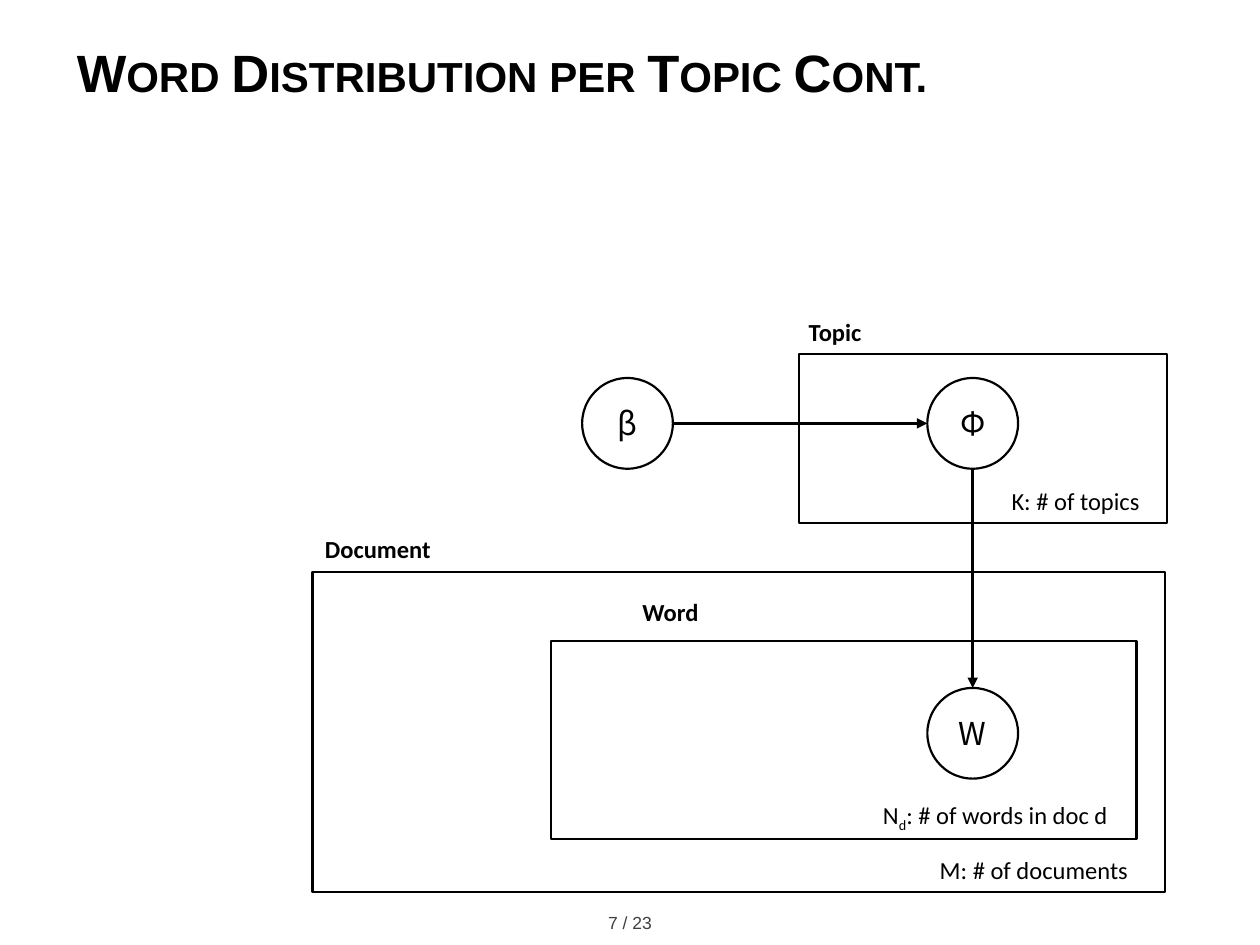
from lxml import etree
from pptx import Presentation
from pptx.dml.color import RGBColor
from pptx.enum.shapes import MSO_CONNECTOR, MSO_SHAPE
from pptx.enum.text import MSO_ANCHOR, PP_ALIGN
from pptx.oxml.ns import qn
from pptx.util import Inches, Pt

RECT, OVAL = MSO_SHAPE.RECTANGLE, MSO_SHAPE.OVAL
STRAIGHT = MSO_CONNECTOR.STRAIGHT
LEFT, CENTER = PP_ALIGN.LEFT, PP_ALIGN.CENTER
MIDDLE = MSO_ANCHOR.MIDDLE
BLACK = RGBColor(0x00, 0x00, 0x00)
WHITE = RGBColor(0xFF, 0xFF, 0xFF)
GRAY = RGBColor(0x40, 0x40, 0x40)

TITLE = "Word Distribution per Topic Cont."
PAGE = "7 / 23"
PLATES = [  # left, top, width, height
    (2.48, 4.54, 6.77, 2.54),
    (4.37, 5.09, 4.65, 1.57),
    (6.34, 2.81, 2.92, 1.34),
]
SIZE = 0.72
NODES = {"β": (4.62, 3), "Φ": (7.36, 3), "W": (7.36, 5.46)}
NAMES = [  # text, left, top, width
    ("Document", 2.48, 4.19, 1.18),
    ("Word", 5, 4.69, 0.7),
    ("Topic", 6.32, 2.47, 1.18),
]
COUNTS = [  # symbol, subscript, meaning, left, top, width
    ("M", "", ": # of documents", 7.36, 6.74, 1.85),
    ("N", "d", ": # of words in doc d", 6.91, 6.3, 2.07),
    ("K", "", ": # of topics", 7.93, 3.81, 1.26),
]


def style(font, name, size, color=BLACK, bold=False):
    font.name, font.size, font.bold = name, Pt(size), bold
    font.color.rgb = color


def add_outline(kind, *box):
    shape = slide.shapes.add_shape(kind, *map(Inches, box))
    shape.shadow.inherit = False
    shape.fill.solid()
    shape.fill.fore_color.rgb = WHITE
    shape.line.color.rgb = BLACK
    shape.line.width = Pt(1.25)
    return shape


def add_label(parts, left, top, width, bold=False):
    """Add a text box; every second part is a subscript."""
    box = slide.shapes.add_textbox(*map(Inches, (left, top, width, 0.34)))
    box.text_frame.word_wrap = True
    para = box.text_frame.paragraphs[0]
    for i, part in enumerate(parts):
        if part:
            run = para.add_run()
            run.text = part
            style(run.font, "Calibri", 14, bold=bold)
            if i % 2:
                run.font._element.set("baseline", "-25000")


def add_arrow(*ends):
    line = slide.shapes.add_connector(STRAIGHT, *map(Inches, ends))
    line.line.color.rgb = BLACK
    line.line.width = Pt(1.5)
    etree.SubElement(line.line._get_or_add_ln(), qn("a:tailEnd"), type="triangle")
    etree.SubElement(line._element.spPr, qn("a:effectLst"))


prs = Presentation()
prs.slide_width, prs.slide_height = Inches(10), Inches(7.5)
slide = prs.slides.add_slide(prs.slide_layouts[5])

title = slide.shapes.title
title.left, title.top = Inches(0.51), Inches(0.13)
title.width, title.height = Inches(9.29), Inches(0.87)
title.text_frame.text = TITLE
title.text_frame.vertical_anchor = MIDDLE
para = title.text_frame.paragraphs[0]
para.alignment = LEFT
font = para.runs[0].font
style(font, "Arial", 30, bold=True)
font._element.set("cap", "small")

for plate in PLATES:
    add_outline(RECT, *plate)

for name, (left, top) in NODES.items():
    node = add_outline(OVAL, left, top, SIZE, SIZE)
    node.text_frame.text = name
    node.text_frame.vertical_anchor = MIDDLE
    para = node.text_frame.paragraphs[0]
    para.alignment = CENTER
    style(para.runs[0].font, "Noto Sans CJK KR", 18)

for name, *place in NAMES:
    add_label([name], *place, bold=True)
for symbol, sub, meaning, *place in COUNTS:
    add_label([symbol, sub, meaning], *place)

half = SIZE / 2
beta, phi, word = NODES["β"], NODES["Φ"], NODES["W"]
add_arrow(beta[0] + SIZE, beta[1] + half, phi[0], phi[1] + half)
add_arrow(phi[0] + half, phi[1] + SIZE, word[0] + half, word[1])

page = slide.shapes.add_textbox(0, Inches(7.19), Inches(10), Inches(0.27))
frame = page.text_frame
frame.word_wrap = True
frame.margin_left = frame.margin_right = Inches(0.08)
frame.text = PAGE
para = frame.paragraphs[0]
para.alignment = CENTER
style(para.runs[0].font, "Arial", 10, GRAY)

prs.save("out.pptx")
